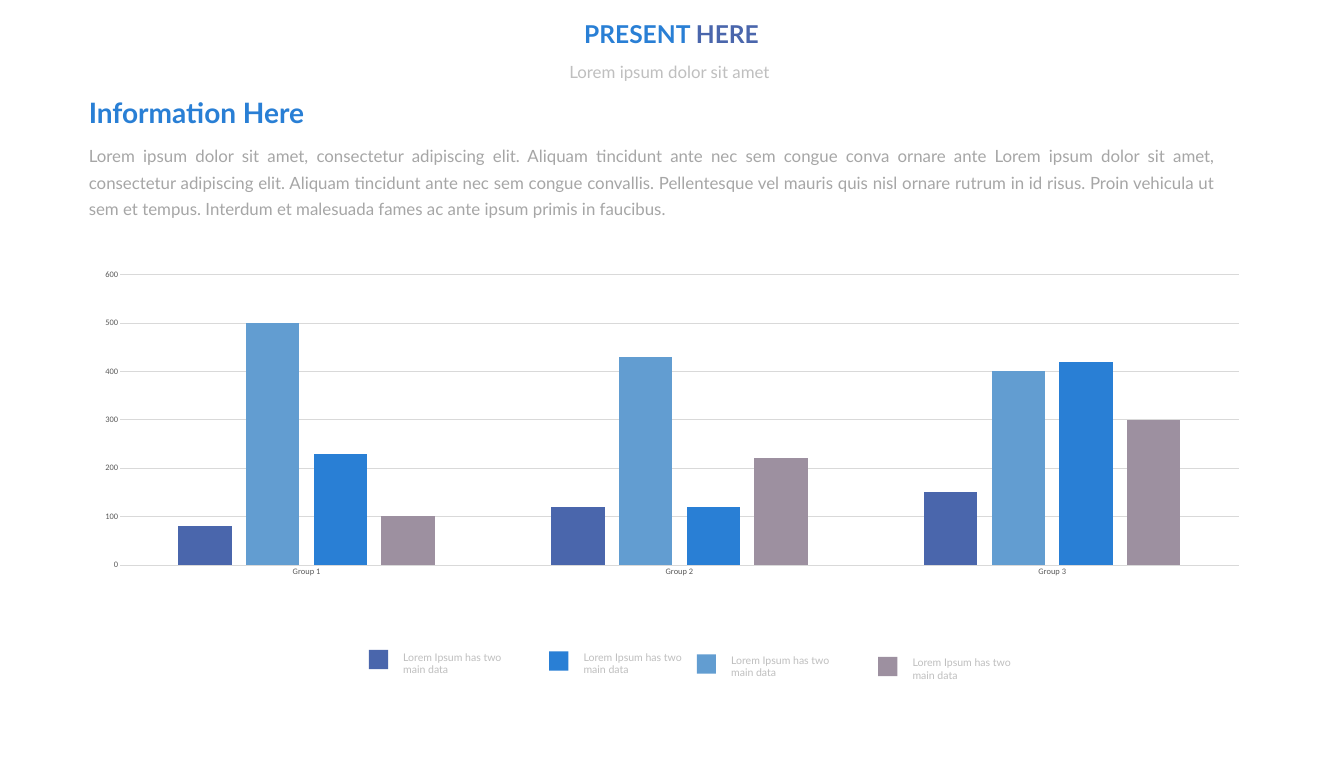
"""Build a slide with a heading, a paragraph and a clustered column chart with its legend."""
from lxml import etree
from pptx import Presentation
from pptx.chart.data import CategoryChartData
from pptx.dml.color import RGBColor
from pptx.enum.chart import XL_CHART_TYPE as ChartType, XL_TICK_MARK as TickMark
from pptx.enum.shapes import MSO_SHAPE as ShapeKind
from pptx.enum.text import MSO_ANCHOR as Anchor, MSO_AUTO_SIZE as AutoSize, PP_ALIGN as Align
from pptx.oxml.ns import qn
from pptx.util import Pt


def color(hex_text):
    return RGBColor.from_string(hex_text)


def write(shape, parts, size, bold=False, align=Align.LEFT, spacing=1.0,
          anchor=Anchor.TOP, insets=(7.2, 3.6), wrap=True):
    frame = shape.text_frame
    frame.word_wrap = wrap
    frame.auto_size = AutoSize.NONE
    frame.vertical_anchor = anchor
    frame.margin_left = frame.margin_right = Pt(insets[0])
    frame.margin_top = frame.margin_bottom = Pt(insets[1])
    paragraph = frame.paragraphs[0]
    paragraph.alignment = align
    paragraph.line_spacing = spacing
    for text, fill in parts:
        run = paragraph.add_run()
        run.text = text
        run.font.name = "Lato"
        run.font.size = Pt(size)
        run.font.bold = bold
        run.font.color.rgb = color(fill)


INDIGO, SKY, BLUE, MAUVE = "4A66AC", "629DD1", "297FD5", "9D90A0"
LIGHT_GRAY, GRID_GRAY = "BFBFBF", "D9D9D9"

presentation = Presentation()
presentation.slide_width, presentation.slide_height = Pt(1915.2), Pt(1080)
slide = presentation.slides.add_slide(presentation.slide_layouts[5])
shapes = slide.shapes

title = shapes.title
title.left, title.top, title.width, title.height = Pt(686.2), Pt(23.8), Pt(541.4), Pt(49.7)
write(title, [("PRESENT ", BLUE), ("HERE", INDIGO)], 35, bold=True, align=Align.CENTER)

subtitle = shapes.add_textbox(Pt(692.6), Pt(69.1), Pt(522.7), Pt(56.9))
write(subtitle, [("Lorem ipsum dolor sit amet", LIGHT_GRAY)], 24, align=Align.CENTER,
      spacing=1.3, anchor=Anchor.MIDDLE, insets=(19.4, 9.4))

heading = shapes.add_textbox(Pt(119.5), Pt(131.8), Pt(326.9), Pt(55.4))
write(heading, [("Information Here", BLUE)], 40, bold=True, wrap=False)

body = shapes.add_textbox(Pt(119.5), Pt(195.8), Pt(1617.8), Pt(158.4))
body_text = (
    "Lorem ipsum dolor sit amet, consectetur adipiscing elit. Aliquam tincidunt ante nec sem "
    "congue conva ornare ante Lorem ipsum dolor sit amet, consectetur adipiscing elit. Aliquam "
    "tincidunt ante nec sem congue convallis. Pellentesque vel mauris quis nisl ornare rutrum in "
    "id risus. Proin vehicula ut sem et tempus. Interdum et malesuada fames ac ante ipsum primis "
    "in faucibus."
)
write(body, [(body_text, "A6A6A6")], 24, align=Align.JUSTIFY, spacing=1.3)

series_rows = [
    ("Series 1", (80, 120, 150), INDIGO),
    ("Series 2", (500, 430, 400), SKY),
    ("Series 3", (230, 120, 420), BLUE),
    ("Series 4", (100, 220, 300), MAUVE),
]
chart_data = CategoryChartData()
chart_data.categories = ["Group 1", "Group 2", "Group 3"]
for name, values, fill in series_rows:
    chart_data.add_series(name, values)
chart = shapes.add_chart(ChartType.COLUMN_CLUSTERED, Pt(67.7), Pt(310.3), Pt(1697.8), Pt(545.8),
                         chart_data).chart
chart.has_legend = False
chart.has_title = False
chart.font.name = "Calibri"
chart.font.size = Pt(12)
chart.font.color.rgb = color("595959")

plot = chart.plots[0]
plot.gap_width, plot.overlap = 219, -27
plot.vary_by_categories = False
for series, (name, values, fill) in zip(plot.series, series_rows):
    series.format.fill.solid()
    series.format.fill.fore_color.rgb = color(fill)

value_axis, category_axis = chart.value_axis, chart.category_axis
value_axis.minimum_scale, value_axis.maximum_scale, value_axis.major_unit = 0, 600, 100
value_axis.format.line.fill.background()
for axis in (value_axis, category_axis):
    axis.major_tick_mark = axis.minor_tick_mark = TickMark.NONE
for line in (value_axis.major_gridlines.format.line, category_axis.format.line):
    line.color.rgb = color(GRID_GRAY)
    line.width = Pt(0.75)

plot_area = chart.element.find(".//" + qn("c:plotArea"))
for old_layout in plot_area.findall(qn("c:layout")):
    plot_area.remove(old_layout)
layout = etree.Element(qn("c:layout"))
manual_layout = etree.SubElement(layout, qn("c:manualLayout"))
for tag, value in [("layoutTarget", "inner"), ("xMode", "edge"), ("yMode", "edge"),
                   ("x", "0.061"), ("y", "0.148"), ("w", "0.939"), ("h", "0.758")]:
    etree.SubElement(manual_layout, qn("c:" + tag)).set("val", value)
plot_area.insert(0, layout)

legend_rows = [
    (INDIGO, 525.6, 925.9, 918.7),
    (BLUE, 782.6, 928.1, 918.7),
    (SKY, 992.9, 932.4, 923),
    (MAUVE, 1251.4, 936, 925.9),
]
for fill, left, marker_top, label_top in legend_rows:
    marker = shapes.add_shape(ShapeKind.RECTANGLE, Pt(left), Pt(marker_top), Pt(27.4), Pt(27.4))
    marker.shadow.inherit = False
    marker.fill.solid()
    marker.fill.fore_color.rgb = color(fill)
    marker.line.fill.background()
    label = shapes.add_textbox(Pt(left + 31.7), Pt(label_top), Pt(175), Pt(54))
    write(label, [("Lorem Ipsum has two main data", LIGHT_GRAY)], 15, insets=(17.3, 8.6))

presentation.save("out.pptx")
